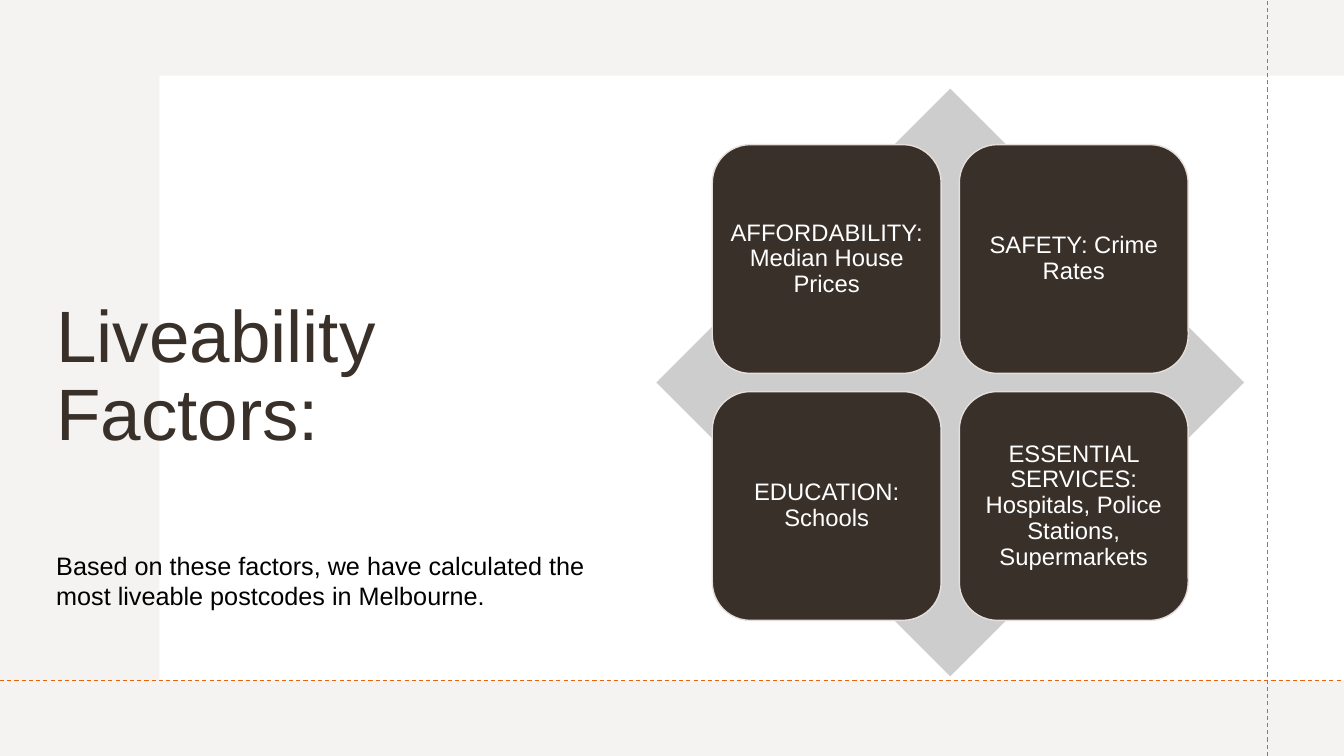
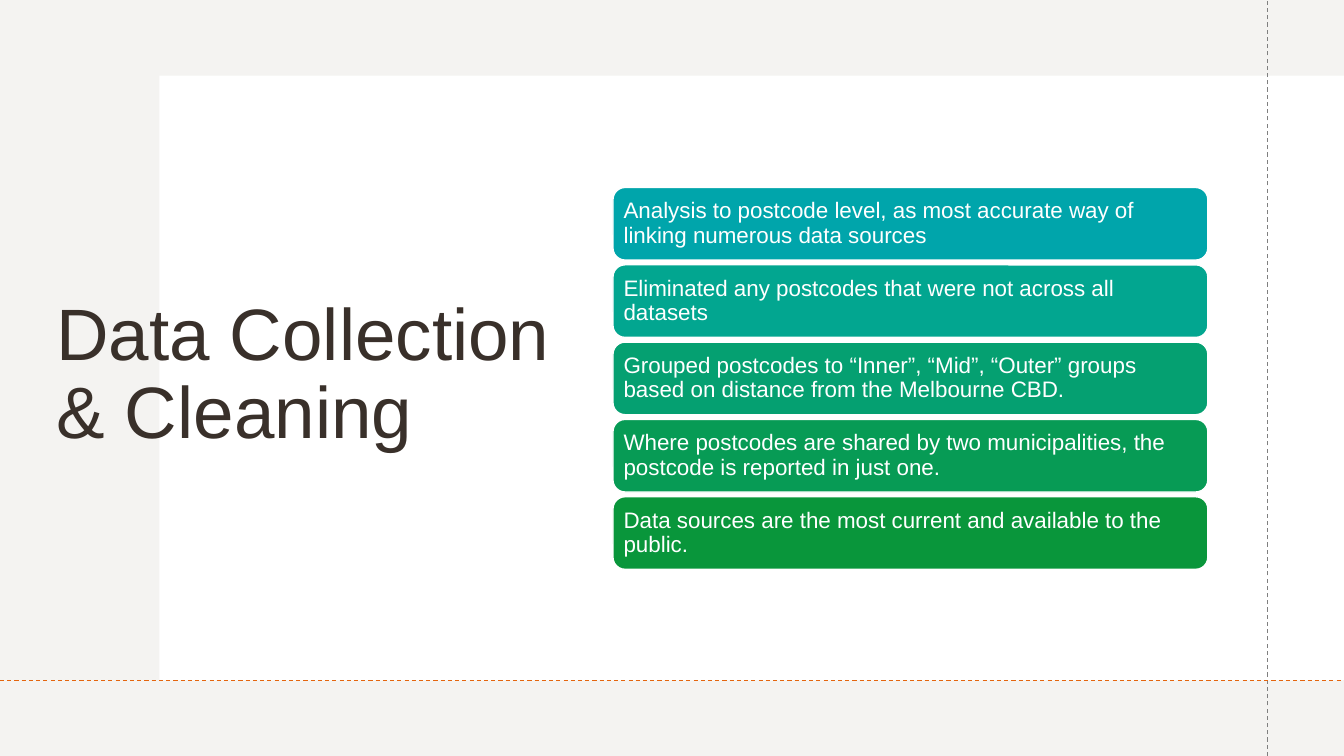
from lxml import etree
from pptx import Presentation
from pptx.dml.color import RGBColor
from pptx.enum.dml import MSO_LINE
from pptx.enum.shapes import MSO_CONNECTOR, MSO_SHAPE
from pptx.enum.text import MSO_ANCHOR, PP_ALIGN
from pptx.oxml.ns import qn
from pptx.util import Inches, Pt

DASH = MSO_LINE.DASH
STRAIGHT = MSO_CONNECTOR.STRAIGHT
RECTANGLE, ROUNDED, DIAMOND = (
    MSO_SHAPE.RECTANGLE, MSO_SHAPE.ROUNDED_RECTANGLE, MSO_SHAPE.DIAMOND)
TOP, MIDDLE = MSO_ANCHOR.TOP, MSO_ANCHOR.MIDDLE
LEFT, CENTER = PP_ALIGN.LEFT, PP_ALIGN.CENTER

FONT = "Arial"
WHITE = RGBColor(0xFF, 0xFF, 0xFF)
BLACK = RGBColor(0x00, 0x00, 0x00)
BACKDROP = RGBColor(0xF4, 0xF3, 0xF1)
BROWN = RGBColor(0x39, 0x30, 0x2A)
BEIGE = RGBColor(0xE5, 0xDE, 0xDB)
SILVER = RGBColor(0xCE, 0xCD, 0xCD)
GREY = RGBColor(0x7F, 0x7F, 0x7F)
ORANGE = RGBColor(0xE4, 0x65, 0x0E)

SLIDE_WIDTH, SLIDE_HEIGHT = 13.33, 7.5
PANEL = (1.58, 0.75, 11.75, 6)
GUIDES = [
    ((12.57, SLIDE_HEIGHT), (12.57, 0), GREY),
    ((0, 6.75), (SLIDE_WIDTH, 6.75), ORANGE),
]

FACTORS_TITLE = "Liveability Factors:"
FACTORS = [
    "AFFORDABILITY: Median House Prices",
    "SAFETY: Crime Rates",
    "EDUCATION: Schools",
    "ESSENTIAL SERVICES: Hospitals, Police Stations, Supermarkets",
]
CONCLUSION = ("Based on these factors, we have calculated the most liveable "
              "postcodes in Melbourne.")

CLEANING_TITLE = "Data Collection & Cleaning"
CLEANING_STEPS = [
    ("Analysis to postcode level, as most accurate way of linking numerous data sources",
     RGBColor(0x00, 0xA5, 0xAB)),
    ("Eliminated any postcodes that were not across all datasets",
     RGBColor(0x02, 0xA6, 0x90)),
    ("Grouped postcodes to “Inner”, “Mid”, “Outer” groups based on distance "
     "from the Melbourne CBD.",
     RGBColor(0x05, 0xA0, 0x71)),
    ("Where postcodes are shared by two municipalities, the postcode is "
     "reported in just one.",
     RGBColor(0x07, 0x9B, 0x55)),
    ("Data sources are the most current and available to the public.",
     RGBColor(0x09, 0x96, 0x3B)),
]


def write(shape, text, size, color, align=LEFT, anchor=MIDDLE, spacing=0.9, inset=None):
    frame = shape.text_frame
    frame.word_wrap = True
    frame.vertical_anchor = anchor
    if inset is not None:
        for side in ("left", "top", "right", "bottom"):
            setattr(frame, f"margin_{side}", Inches(inset))
    paragraph = frame.paragraphs[0]
    paragraph.alignment = align
    paragraph.line_spacing = spacing
    run = paragraph.add_run()
    run.text = text
    for name, value in {"name": FONT, "size": Pt(size)}.items():
        setattr(run.font, name, value)
    run.font.color.rgb = color


def add_text(slide, box, text, size, color, **layout):
    write(slide.shapes.add_textbox(*map(Inches, box)), text, size, color, **layout)


def add_block(slide, kind, box, fill, outline=None):
    block = slide.shapes.add_shape(kind, *map(Inches, box))
    block.shadow.inherit = False
    block.fill.solid()
    block.fill.fore_color.rgb = fill
    if outline is None:
        block.line.fill.background()
    else:
        block.line.color.rgb = outline
        block.line.width = Pt(1)
    return block


def add_guide(slide, start, end, color):
    guide = slide.shapes.add_connector(STRAIGHT, *map(Inches, start + end))
    guide.line.color.rgb = color
    guide.line.width = Pt(0.75)
    guide.line.dash_style = DASH
    etree.SubElement(guide._element.spPr, qn("a:effectLst"))


def start_slide(deck, title, title_box):
    """Add a slide with the shared backdrop, panel, title and guide lines."""
    slide = deck.slides.add_slide(deck.slide_layouts[6])
    slide.background.fill.solid()
    slide.background.fill.fore_color.rgb = BACKDROP
    add_block(slide, RECTANGLE, PANEL, WHITE)
    add_text(slide, title_box, title, 52, BROWN)
    for guide in GUIDES:
        add_guide(slide, *guide)
    return slide


def build_factors(deck):
    slide = start_slide(deck, FACTORS_TITLE, (0.46, 1.03, 5.54, 5.44))
    left, top, side = 6.51, 0.88, 5.83
    tile, gap = 2.27, 0.18
    margin = (side - 2 * tile - gap) / 2
    add_block(slide, DIAMOND, (left, top, side, side), SILVER)
    for index, factor in enumerate(FACTORS):
        row, column = divmod(index, 2)
        box = (left + margin + column * (tile + gap),
               top + margin + row * (tile + gap), tile, tile)
        block = add_block(slide, ROUNDED, box, BROWN, BEIGE)
        write(block, factor, 17, WHITE, align=CENTER, inset=0.07)
    add_text(slide, (0.46, 5.41, 5.46, 0.71), CONCLUSION, 18, BLACK,
             anchor=TOP, spacing=1.0)


def build_cleaning(deck):
    slide = start_slide(deck, CLEANING_TITLE, (0.46, 1.11, 5.32, 5.24))
    left, top, width, height, pitch = 6.08, 1.86, 5.9, 0.72, 0.767
    for index, (step, color) in enumerate(CLEANING_STEPS):
        box = (left, top + index * pitch, width, height)
        block = add_block(slide, ROUNDED, box, color, WHITE)
        write(block, step, 16, WHITE, inset=0.07)


def main():
    deck = Presentation()
    deck.slide_width = Inches(SLIDE_WIDTH)
    deck.slide_height = Inches(SLIDE_HEIGHT)
    build_factors(deck)
    build_cleaning(deck)
    deck.save("out.pptx")


if __name__ == "__main__":
    main()
